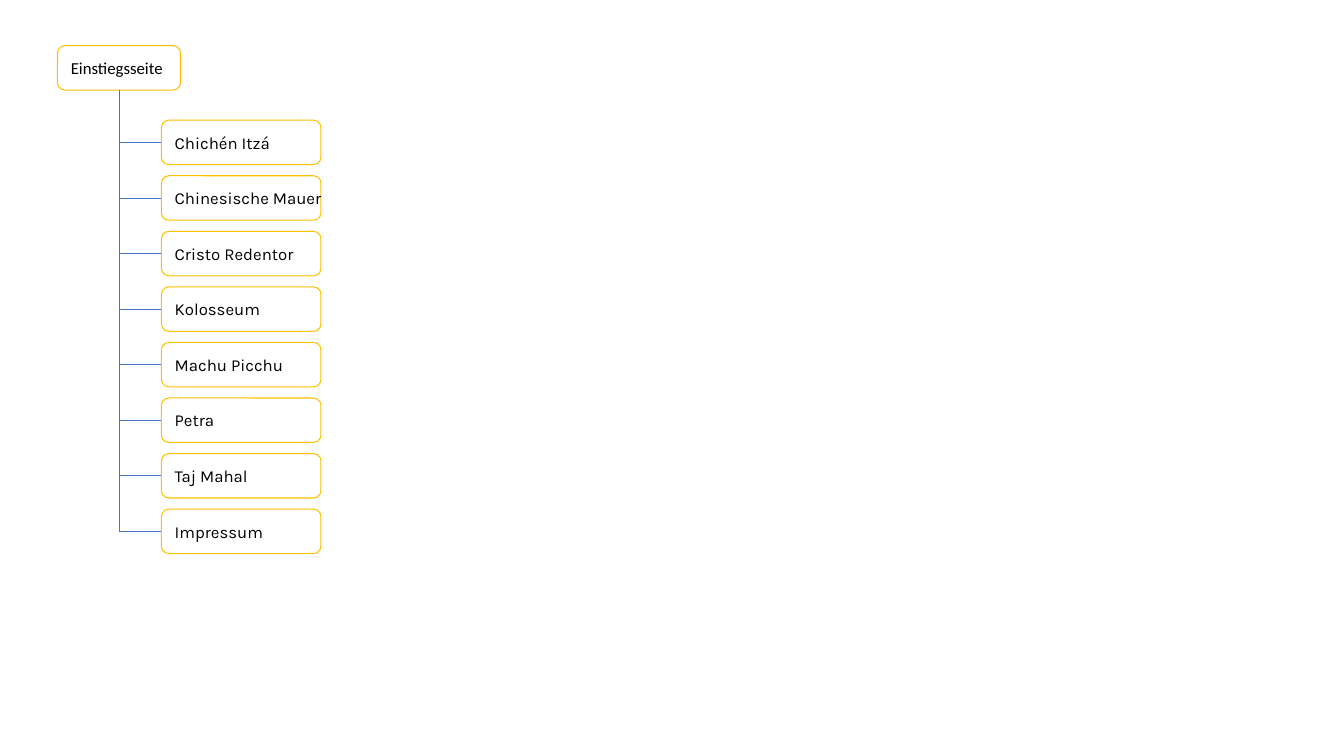
"""Site map: a start page and the pages below it."""
from pptx import Presentation
from pptx.dml.color import RGBColor
from pptx.enum.shapes import MSO_CONNECTOR as CONN, MSO_SHAPE as SHAPE
from pptx.enum.text import MSO_ANCHOR as ANCHOR, PP_ALIGN as ALIGN
from pptx.oxml.ns import qn
from pptx.oxml.xmlchemy import OxmlElement
from pptx.util import Cm, Pt


def rgb(value):
    return RGBColor.from_string(value)


def add_page(s, text, font, left, top, width):
    sp = s.shapes.add_shape(SHAPE.ROUNDED_RECTANGLE, Cm(left), Cm(top), Cm(width), Cm(1.12))
    sp.shadow.inherit = False
    sp.fill.background()
    sp.line.color.rgb = rgb("FFC000")
    sp.line.width = Pt(0.75)
    tf = sp.text_frame
    frame = {"word_wrap": False, "vertical_anchor": ANCHOR.MIDDLE,
             "margin_left": Cm(0.28), "margin_right": 0}
    for name, value in frame.items():
        setattr(tf, name, value)
    p = tf.paragraphs[0]
    p.alignment = ALIGN.LEFT
    r = p.add_run()
    r.text = text
    for name, value in {"name": font, "size": Pt(12)}.items():
        setattr(r.font, name, value)
    r.font.color.rgb = rgb("000000")
    return sp


prs = Presentation()
prs.slide_width, prs.slide_height = Cm(33.87), Cm(19.05)
s = prs.slides.add_slide(prs.slide_layouts[6])

start = add_page(s, "Einstiegsseite", "Calibri", 1.45, 1.15, 3.1)

pages = ["Chichén Itzá", "Chinesische Mauer", "Cristo Redentor", "Kolosseum",
         "Machu Picchu", "Petra", "Taj Mahal", "Impressum"]
for i, text in enumerate(pages):
    page = add_page(s, text, "Karla", 4.07, 3.03 + 1.4 * i, 4.02)
    c = s.shapes.add_connector(CONN.ELBOW, 0, 0, 0, 0)
    c.begin_connect(page, 1)
    c.end_connect(start, 2)
    c.line.color.rgb = rgb("4472C4")
    c.line.width = Pt(0.5)
    spPr = c._element.spPr
    spPr.find(qn("a:prstGeom")).set("prst", "bentConnector2")
    spPr.append(OxmlElement("a:effectLst"))

prs.save("out.pptx")
